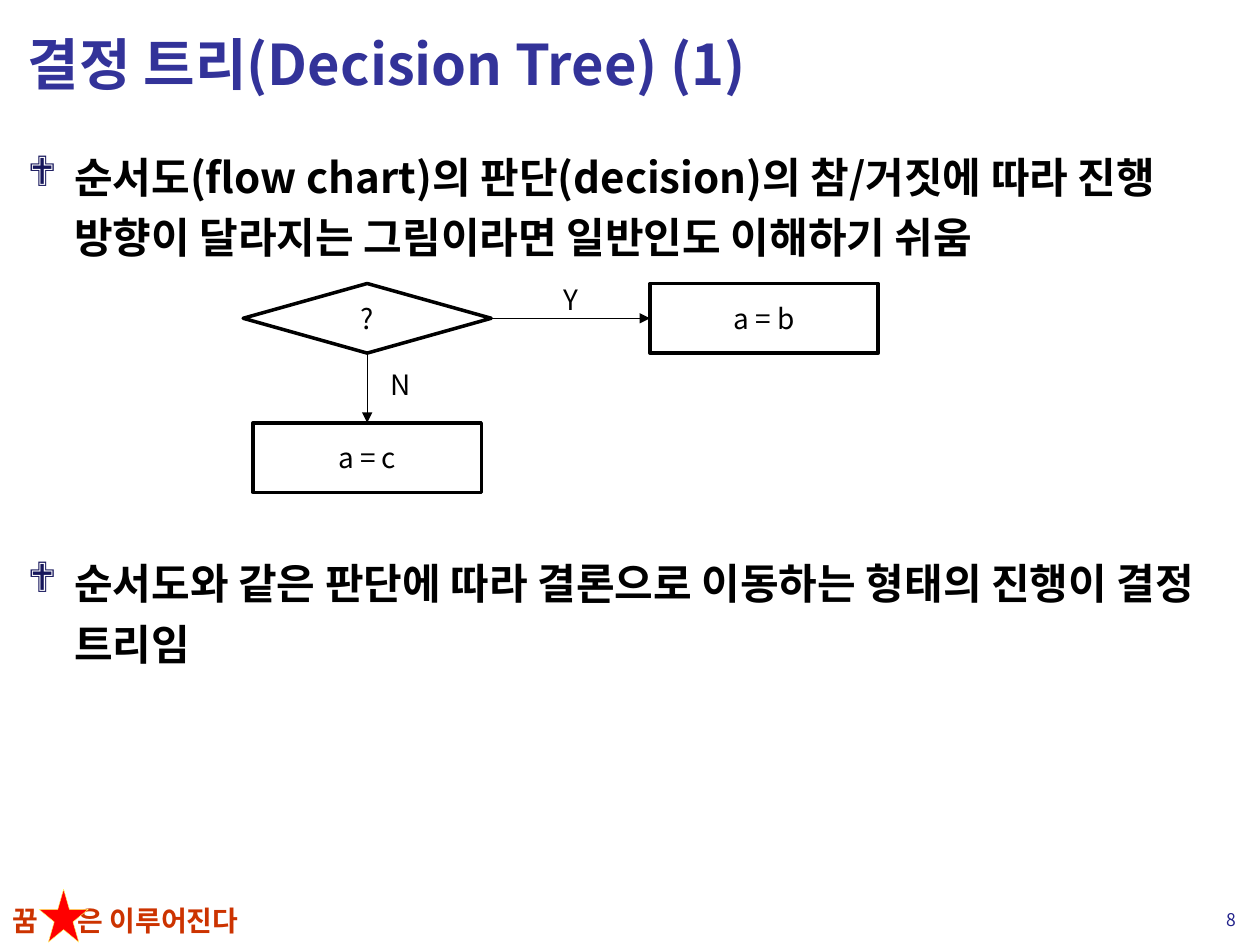
from lxml import etree
from pptx import Presentation
from pptx.dml.color import RGBColor
from pptx.enum.shapes import MSO_CONNECTOR, MSO_SHAPE
from pptx.enum.text import MSO_ANCHOR, PP_ALIGN
from pptx.oxml.ns import qn
from pptx.util import Inches, Pt

WIDTH, HEIGHT = 10, 7.5
FONT = "Noto Sans CJK KR"
BLACK = "000000"
TOP, LEFT, BOTTOM, RIGHT = range(4)
DECISION, PROCESS = MSO_SHAPE.FLOWCHART_DECISION, MSO_SHAPE.FLOWCHART_PROCESS
STAR, STRAIGHT = MSO_SHAPE.STAR_5_POINT, MSO_CONNECTOR.STRAIGHT
MIDDLE, ANCHOR_TOP = MSO_ANCHOR.MIDDLE, MSO_ANCHOR.TOP
ALIGN_LEFT, CENTER, ALIGN_RIGHT = PP_ALIGN.LEFT, PP_ALIGN.CENTER, PP_ALIGN.RIGHT


def color(value):
    return RGBColor.from_string(value)


def emu(box):
    return [Inches(length) for length in box]


def share(box, left, top, width, height):
    return (box[0] + left * box[2], box[1] + top * box[3],
            width * box[2], height * box[3])


def format_para(para, size, fill, bold=False, align=ALIGN_LEFT):
    para.alignment = align
    for span in para.runs:
        span.font.size = Pt(size)
        span.font.bold = bold
        span.font.name = FONT
        span.font.color.rgb = color(fill)
        properties = span._r.get_or_add_rPr()
        properties.set("kern", "0")
        etree.SubElement(properties, qn("a:ea")).set("typeface", FONT)


def add_text(slide, box, text, size, fill, bold=False, align=ALIGN_LEFT,
             anchor=ANCHOR_TOP):
    frame = slide.shapes.add_textbox(*emu(box)).text_frame
    frame.word_wrap = True
    frame.vertical_anchor = anchor
    frame.text = text
    format_para(frame.paragraphs[0], size, fill, bold, align)
    return frame.paragraphs[0]


def add_title(slide, box, text):
    title = slide.shapes.title
    title.left, title.top, title.width, title.height = emu(box)
    title.text_frame.text = text
    title.text_frame.vertical_anchor = MIDDLE
    format_para(title.text_frame.paragraphs[0], 32, "333399", True)


def add_bullet(para, symbol, fill, indent):
    properties = para._p.get_or_add_pPr()
    properties.set("marL", str(Inches(indent)))
    properties.set("indent", str(-Inches(indent)))
    bullet_color = etree.SubElement(properties, qn("a:buClr"))
    etree.SubElement(bullet_color, qn("a:srgbClr")).set("val", fill)
    etree.SubElement(properties, qn("a:buFont")).set("typeface", "Wingdings")
    etree.SubElement(properties, qn("a:buChar")).set("char", symbol)


def add_body(slide, box, points, gap):
    frame = slide.shapes.add_textbox(*emu(box)).text_frame
    frame.word_wrap = True
    frame.text = "\n".join(points)
    for index, para in enumerate(frame.paragraphs):
        add_bullet(para, "❖", "17175C", 0.37)
        format_para(para, 24, BLACK, True)
        para.line_spacing = 1.2
        if index:
            para.space_before = Pt(gap)


def add_node(slide, kind, box, text, outlined=True):
    node = slide.shapes.add_shape(kind, *emu(box))
    node.shadow.inherit = False
    node.fill.background()
    if outlined:
        node.line.color.rgb = color(BLACK)
        node.line.width = Pt(2)
    else:
        node.line.fill.background()
    frame = node.text_frame
    frame.margin_left = frame.margin_right = 0
    frame.margin_top = frame.margin_bottom = 0
    frame.word_wrap = False
    frame.vertical_anchor = MIDDLE
    frame.text = text
    format_para(frame.paragraphs[0], 16, BLACK, align=CENTER)
    return node


def add_arrow(slide, start, start_side, end, end_side):
    arrow = slide.shapes.add_connector(STRAIGHT, 0, 0, 0, 0)
    arrow.begin_connect(start, start_side)
    arrow.end_connect(end, end_side)
    arrow.line.color.rgb = color(BLACK)
    arrow.line.width = Pt(0.75)
    etree.SubElement(arrow.line._get_or_add_ln(), qn("a:tailEnd")).set("type", "triangle")
    etree.SubElement(arrow._element.spPr, qn("a:effectLst"))


def add_flow_chart(slide, box, columns=64, rows=21):
    def cell(column, row, across, down):
        return share(box, column / columns, row / rows, across / columns, down / rows)

    question = add_node(slide, DECISION, cell(0, 0, 25, 7), "?")
    yes_step = add_node(slide, PROCESS, cell(41, 0, 23, 7), "a = b")
    no_step = add_node(slide, PROCESS, cell(1, 14, 23, 7), "a = c")
    add_arrow(slide, question, RIGHT, yes_step, LEFT)
    add_arrow(slide, question, BOTTOM, no_step, TOP)
    add_node(slide, PROCESS, cell(31, 0.1, 4, 3), "Y", outlined=False)
    add_node(slide, PROCESS, cell(14.9, 8.6, 2, 3), "N", outlined=False)


def add_footer(slide, box, page):
    motto = add_text(slide, share(box, 0, 0.14, 0.25, 0.84), "꿈\t은 이루어진다",
                     16, "CC3300", True)
    tabs = etree.SubElement(motto._p.get_or_add_pPr(), qn("a:tabLst"))
    stop = etree.SubElement(tabs, qn("a:tab"))
    stop.set("pos", str(Inches(0.52)))
    stop.set("algn", "l")
    star = slide.shapes.add_shape(STAR, *emu(share(box, 0.031, 0, 0.039, 0.95)))
    star.shadow.inherit = False
    star.fill.solid()
    star.fill.fore_color.rgb = color("FF0000")
    star.line.color.rgb = color("FFFF66")
    star.line.width = Pt(0.25)
    add_text(slide, share(box, 0.933, 0.2, 0.058, 0.7), page, 10, "22228B",
             align=ALIGN_RIGHT, anchor=MIDDLE)


def main():
    deck = Presentation()
    deck.slide_width, deck.slide_height = Inches(WIDTH), Inches(HEIGHT)
    slide = deck.slides.add_slide(deck.slide_layouts[5])
    page = (0, 0, WIDTH, HEIGHT)
    add_footer(slide, share(page, 0, 0.941, 1, 0.059), "8")
    add_title(slide, share(page, 0.012, 0.008, 0.976, 0.117), "결정 트리(Decision Tree) (1)")
    add_body(slide, share(page, 0.012, 0.143, 0.979, 0.805), [
        "순서도(flow chart)의 판단(decision)의 참/거짓에 따라 진행 방향이 달라지는 "
        "그림이라면 일반인도 이해하기 쉬움",
        "순서도와 같은 판단에 따라 결론으로 이동하는 형태의 진행이 결정 트리임",
    ], gap=163)
    add_flow_chart(slide, share(page, 0.193, 0.3, 0.504, 0.221))
    deck.save("out.pptx")


if __name__ == "__main__":
    main()
